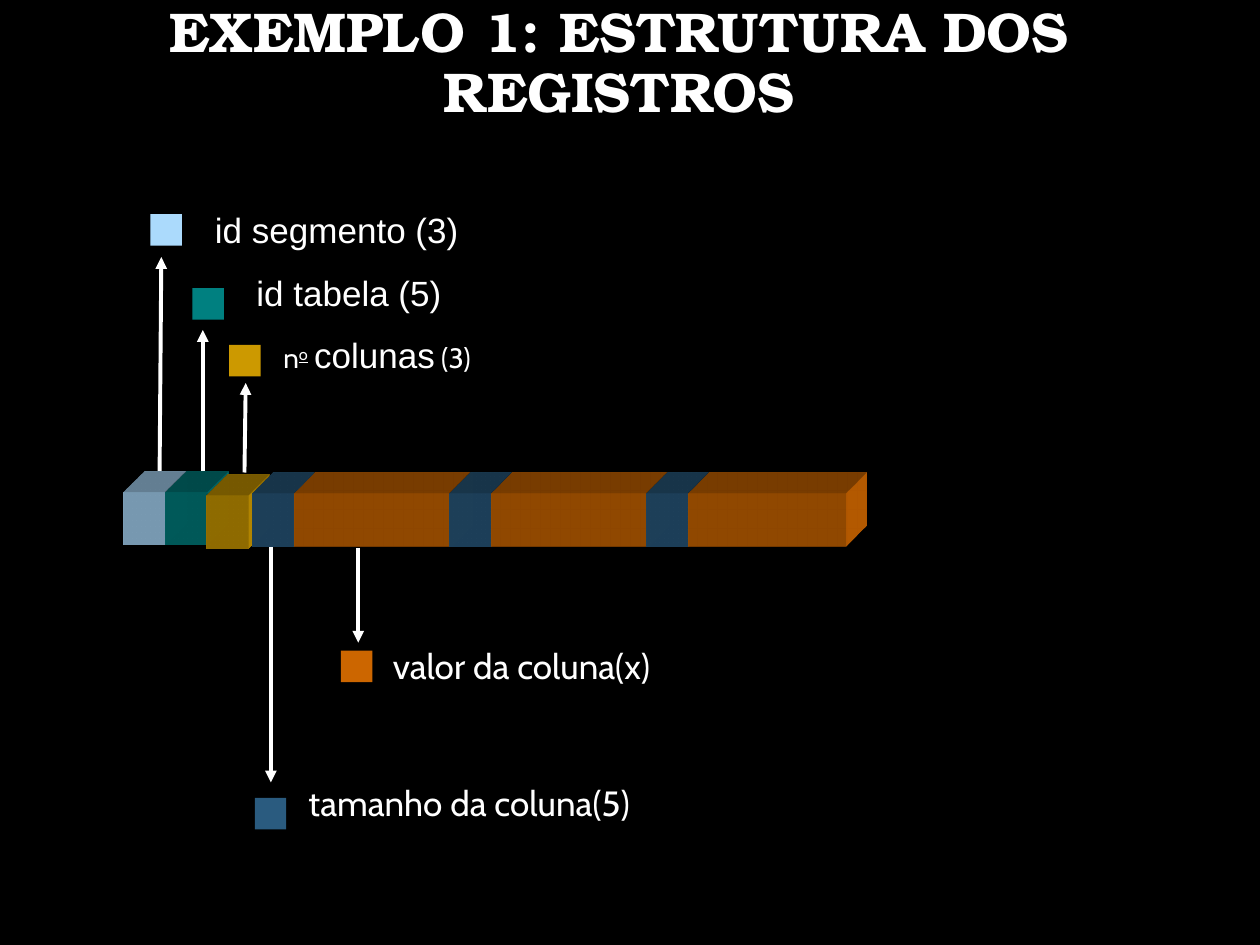
import pptx
import pptx.util
import pptx.dml.color
import pptx.enum.shapes
import pptx.enum.text
import pptx.oxml
import pptx.oxml.ns

Pt = pptx.util.Pt
COLORS = {"black": "000000", "white": "FFFFFF", "segment": "ABDAFC", "table": "008080",
          "count": "CC9900", "size": "2A5B7F", "value": "CC6600"}

TITLE = "EXEMPLO 1: ESTRUTURA DOS REGISTROS"
# Legend squares: field, left, top
SQUARES = [("segment", 85.9, 122.4), ("table", 109.9, 164.6), ("count", 130.9, 197.1),
           ("value", 194.8, 371.8), ("size", 145.6, 455.9)]
SQUARE = 18
# Labels: left, top, width, height, wraps, spans of (text, size, font, superscript)
LABELS = [
    (110.2, 122.4, 618, 23.8, True, [(" id segmento (3)", 20, "Arial", False)]),
    (133.9, 158.4, 618, 23.8, True, [(" id tabela (5)", 20, "Arial", False)]),
    (154.8, 187.2, 130.3, 31.7, False,
     [("n", 16, "Cabin", False), ("o", 16, "Cabin", True), (" ", 16, "Cabin", False),
      ("colunas", 20, "Arial", False), (" (3)", 16, "Cabin", False)]),
    (169.2, 442.8, 211.7, 31.7, False, [("tamanho da coluna(5)", 20, "Cabin", False)]),
    (217.4, 365, 175.7, 31.7, False, [("valor da coluna(x)", 20, "Cabin", False)]),
]
# Arrows: start x, start y, end x, end y
ARROWS = [(91.2, 270, 92.2, 146.9), (115.9, 270, 115.9, 188.6), (139.7, 270, 140.4, 218.9),
          (154.8, 308.9, 154.8, 447.1), (204.7, 313.2, 204.7, 367.2)]
# Record: header fields, then equal pairs of column size and column value
HEADER = [("segment", 70.6, 281.2), ("table", 94.6, 281.2), ("count", 118.1, 283)]
PAIRS, PAIR_LEFT, PAIR_TOP, PAIR_PITCH = 3, 144, 282.2, 112.7
FIELD_WIDTH, VALUE_WIDTH, FIELD_HEIGHT = 24, 90, 30.2


def rgb(name):
    return pptx.dml.color.RGBColor.from_string(COLORS[name])


def add_box(name, left, top, width, height):
    box = page.shapes.add_shape(pptx.enum.shapes.MSO_SHAPE.RECTANGLE,
                                Pt(left), Pt(top), Pt(width), Pt(height))
    box.shadow.inherit = False
    box.fill.solid()
    box.fill.fore_color.rgb = rgb(name)
    box.line.fill.background()
    return box


def add_field(name, left, top, width):
    """A rectangle extruded towards the top right."""
    properties = add_box(name, left, top, width, FIELD_HEIGHT)._element.spPr
    space = pptx.oxml.ns.nsdecls("a")
    properties.append(pptx.oxml.parse_xml(
        f'<a:scene3d {space}><a:camera prst="legacyObliqueTopRight"/>'
        '<a:lightRig rig="legacyFlat3" dir="b"/></a:scene3d>'))
    properties.append(pptx.oxml.parse_xml(
        f'<a:sp3d {space} extrusionH="430200" prstMaterial="legacyMatte">'
        '<a:bevelT w="13500" h="13500" prst="angle"/><a:bevelB w="13500" h="13500" prst="angle"/>'
        f'<a:extrusionClr><a:srgbClr val="{COLORS[name]}"/></a:extrusionClr></a:sp3d>'))


def add_arrow(*ends):
    arrow = page.shapes.add_connector(pptx.enum.shapes.MSO_CONNECTOR.STRAIGHT, *map(Pt, ends))
    arrow.line.color.rgb = rgb("white")
    arrow.line.width = Pt(2.25)
    space = pptx.oxml.ns.nsdecls("a")
    arrow.line._get_or_add_ln().append(pptx.oxml.parse_xml(f'<a:tailEnd {space} type="triangle"/>'))
    arrow._element.spPr.append(pptx.oxml.parse_xml(f"<a:effectLst {space}/>"))


def add_label(left, top, width, height, wraps, spans):
    frame = page.shapes.add_textbox(Pt(left), Pt(top), Pt(width), Pt(height)).text_frame
    frame.word_wrap = wraps
    para = frame.paragraphs[0]
    para.font.color.rgb = rgb("white")
    if wraps:
        para.line_spacing = 0.7
    for text, size, font, superscript in spans:
        span = para.add_run()
        span.text = text
        span.font.size = Pt(size)
        span.font.name = font
        span.font.color.rgb = rgb("white")
        if superscript:
            span.font.underline = True
            span.font._element.set("baseline", "30000")


deck = pptx.Presentation()
deck.slide_width, deck.slide_height = Pt(720), Pt(540)
page = deck.slides.add_slide(deck.slide_layouts[6])
page.background.fill.solid()
page.background.fill.fore_color.rgb = rgb("black")

# Title
frame = page.shapes.add_textbox(Pt(25.2), Pt(-2.2), Pt(657.4), Pt(77.8)).text_frame
frame.word_wrap = True
frame.vertical_anchor = pptx.enum.text.MSO_ANCHOR.MIDDLE
para = frame.paragraphs[0]
para.alignment = pptx.enum.text.PP_ALIGN.CENTER
para.line_spacing = 0.9
span = para.add_run()
span.text = TITLE
span.font.name, span.font.size, span.font.bold = "TeX Gyre Bonum", Pt(32), True
span.font.color.rgb = rgb("white")

# Arrows, behind the record
for arrow in ARROWS:
    add_arrow(*arrow)

# Record
for name, left, top in HEADER:
    add_field(name, left, top, FIELD_WIDTH)
for index in range(PAIRS):
    left = PAIR_LEFT + index * PAIR_PITCH
    add_field("size", left, PAIR_TOP, FIELD_WIDTH)
    add_field("value", left + FIELD_WIDTH, PAIR_TOP, VALUE_WIDTH)

# Legend
for name, left, top in SQUARES:
    add_box(name, left, top, SQUARE, SQUARE)
for label in LABELS:
    add_label(*label)

deck.save("out.pptx")
